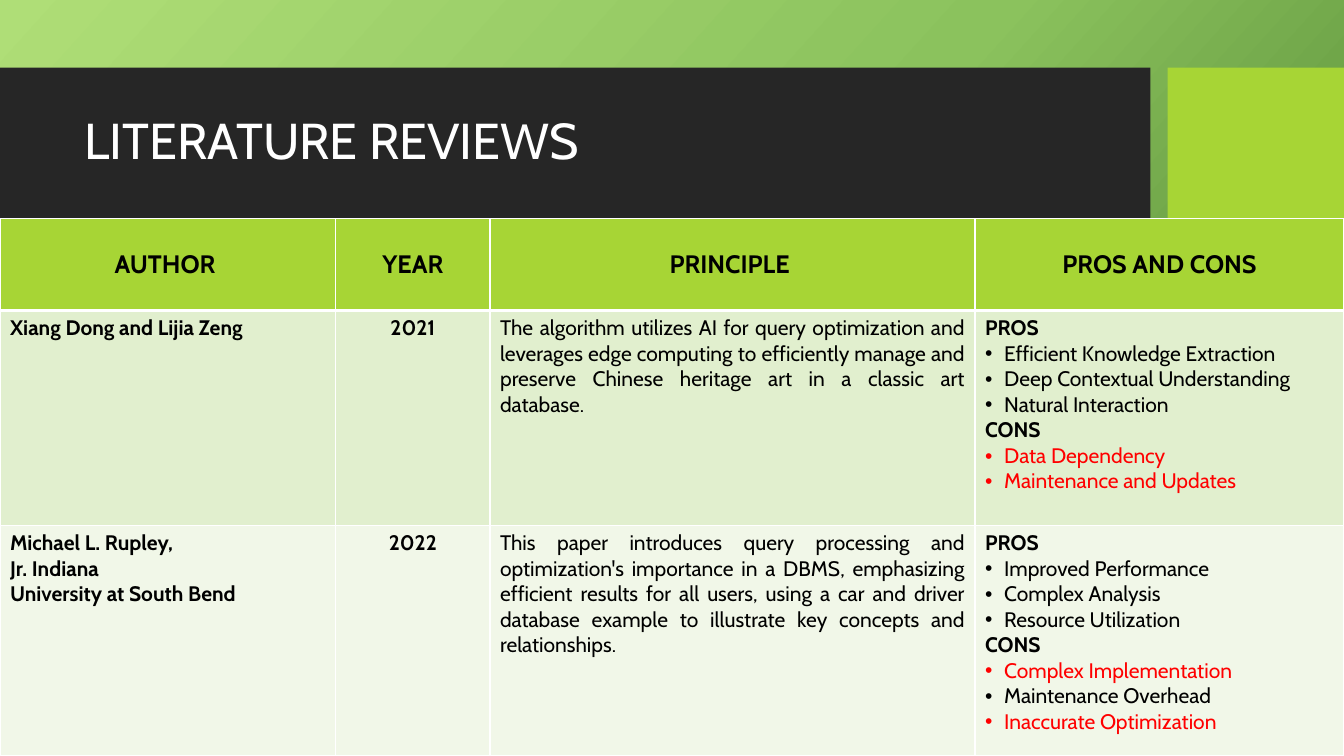
from copy import deepcopy
from pptx import Presentation
from pptx.dml.color import RGBColor
from pptx.enum.shapes import MSO_SHAPE
from pptx.enum.text import MSO_ANCHOR, PP_ALIGN
from pptx.oxml import parse_xml
from pptx.oxml.ns import nsdecls, qn
from pptx.util import Inches, Pt

RECT = MSO_SHAPE.RECTANGLE
MID, TOP = MSO_ANCHOR.MIDDLE, MSO_ANCHOR.TOP
MID_H, JUST = PP_ALIGN.CENTER, PP_ALIGN.JUSTIFY
FONT = "Cabin"
WHITE, BLACK, RED = "FFFFFF", "000000", "FF0000"
DARK, LIME = "262626", "A7D535"
SHADES = ["E1EFCE", "F1F7E8"]
STOPS = [(0, "AFDE77"), (0.5, "8BC25D"), (1, "437528")]
WIDE, HIGH = 13.33, 7.5
COLS = [3.33, 1.53, 4.81, 3.66]
ROWS = [0.91, 2.13, 2.29]
HEADS = ["AUTHOR ", "YEAR", "PRINCIPLE ", "PROS AND CONS"]
WORKS = [
    (["Xiang Dong and Lijia Zeng"], "2021",
     "The algorithm utilizes AI for query optimization and leverages edge "
     "computing to efficiently manage and preserve Chinese heritage art in a "
     "classic art database.",
     ["Efficient Knowledge Extraction", "Deep Contextual Understanding",
      "Natural Interaction"],
     [("Data Dependency", RED), ("Maintenance and Updates", RED)]),
    (["Michael L. Rupley, ", "Jr. Indiana", "University at South Bend"], "2022",
     "This paper introduces query processing and optimization's importance in "
     "a DBMS, emphasizing efficient results for all users, using a car and "
     "driver database example to illustrate key concepts and relationships.",
     ["Improved Performance", "Complex Analysis", "Resource Utilization"],
     [("Complex Implementation", RED), ("Maintenance Overhead", BLACK),
      ("Inaccurate Optimization", RED)]),
]


def tint(code):
    """Turn a hex string into a colour."""
    return RGBColor.from_string(code)


def write(para, text, size, color=BLACK, bold=False, align=None):
    """Add one styled run to a paragraph."""
    para.alignment = align
    run = para.add_run()
    run.text = text
    font = run.font
    font.name, font.size, font.bold = FONT, Pt(size), bold
    font.color.rgb = tint(color)


def bullet(para):
    """Give a paragraph a hanging round bullet."""
    props = para._p.get_or_add_pPr()
    props.set("marL", str(Inches(0.19)))
    props.set("indent", str(Inches(-0.19)))
    props.append(parse_xml(f'<a:buFont {nsdecls("a")} typeface="Arial"/>'))
    props.append(parse_xml(f'<a:buChar {nsdecls("a")} char="•"/>'))


def edge(cell, top, base):
    """Draw white borders around a cell."""
    props = cell._tc.get_or_add_tcPr()
    sides = [("lnL", 1), ("lnR", 1), ("lnT", top), ("lnB", base)]
    for spot, (side, width) in enumerate(sides):
        props.insert(spot, parse_xml(
            f'<a:{side} {nsdecls("a")} w="{Pt(width)}"><a:solidFill>'
            f'<a:srgbClr val="{WHITE}"/></a:solidFill></a:{side}>'))


def fill_cell(cell, lines, shade, size, align, anchor=TOP):
    """Fill a cell with lines of text, colour, weight and bullet."""
    cell.fill.solid()
    cell.fill.fore_color.rgb = tint(shade)
    cell.vertical_anchor = anchor
    frame = cell.text_frame
    for spot, (text, color, bold, dot) in enumerate(lines):
        para = frame.add_paragraph() if spot else frame.paragraphs[0]
        write(para, text, size, color, bold, align)
        if dot:
            bullet(para)


def backdrop(slide):
    """Paint the slanted green gradient."""
    fill = slide.background.fill
    fill.gradient()
    fill.gradient_angle = 318
    first = slide.element.find(".//" + qn("a:gs"))
    first.addnext(deepcopy(first))
    for stop, (place, color) in zip(fill.gradient_stops, STOPS):
        stop.position = place
        stop.color.rgb = tint(color)


def banner(slide, left, top, width, height):
    """Place the dark title bar and the lime block beside it."""
    block, gap = 1.75, 0.17
    bar = width - block - gap
    for start, size, color in [(left, bar, DARK),
                               (left + bar + gap, block, LIME)]:
        shape = slide.shapes.add_shape(RECT, Inches(start), Inches(top),
                                       Inches(size), Inches(height))
        shape.shadow.inherit = False
        shape.fill.solid()
        shape.fill.fore_color.rgb = tint(color)
        shape.line.fill.background()
    box = slide.shapes.add_textbox(Inches(left + 0.74), Inches(top + 0.16),
                                   Inches(bar - 0.9), Inches(height - 0.32))
    frame = box.text_frame
    frame.word_wrap = True
    frame.vertical_anchor = MID
    para = frame.paragraphs[0]
    para.line_spacing = 0.9
    write(para, "LITERATURE REVIEWS", 36, WHITE)


def review(slide, left, top, width, height):
    """Place the table of reviewed works."""
    grid = slide.shapes.add_table(len(ROWS), len(COLS), Inches(left),
                                  Inches(top), Inches(width),
                                  Inches(height)).table
    for col, size in zip(grid.columns, COLS):
        col.width = Inches(size)
    for row, size in zip(grid.rows, ROWS):
        row.height = Inches(size)
    for spot, head in enumerate(HEADS):
        cell = grid.cell(0, spot)
        fill_cell(cell, [(head, BLACK, True, False)], LIME, 18, MID_H, MID)
        edge(cell, 1, 3)
    for row, (names, year, gist, pros, cons) in enumerate(WORKS, 1):
        points = [("PROS", BLACK, True, False)]
        points += [(pro, BLACK, False, True) for pro in pros]
        points += [("CONS", BLACK, True, False)]
        points += [(con, color, False, True) for con, color in cons]
        parts = [([(name, BLACK, True, False) for name in names], JUST),
                 ([(year, BLACK, True, False)], MID_H),
                 ([(gist, BLACK, False, False)], JUST),
                 (points, JUST)]
        for col, (lines, align) in enumerate(parts):
            cell = grid.cell(row, col)
            fill_cell(cell, lines, SHADES[row - 1], 15, align)
            edge(cell, 3 if row == 1 else 1, 1)


def main():
    """Build and save the slide."""
    deck = Presentation()
    deck.slide_width, deck.slide_height = Inches(WIDE), Inches(HIGH)
    slide = deck.slides.add_slide(deck.slide_layouts[6])
    backdrop(slide)
    banner(slide, 0, 0.67, WIDE, 1.5)
    review(slide, 0, 2.17, WIDE, sum(ROWS))
    deck.save("out.pptx")


main()
